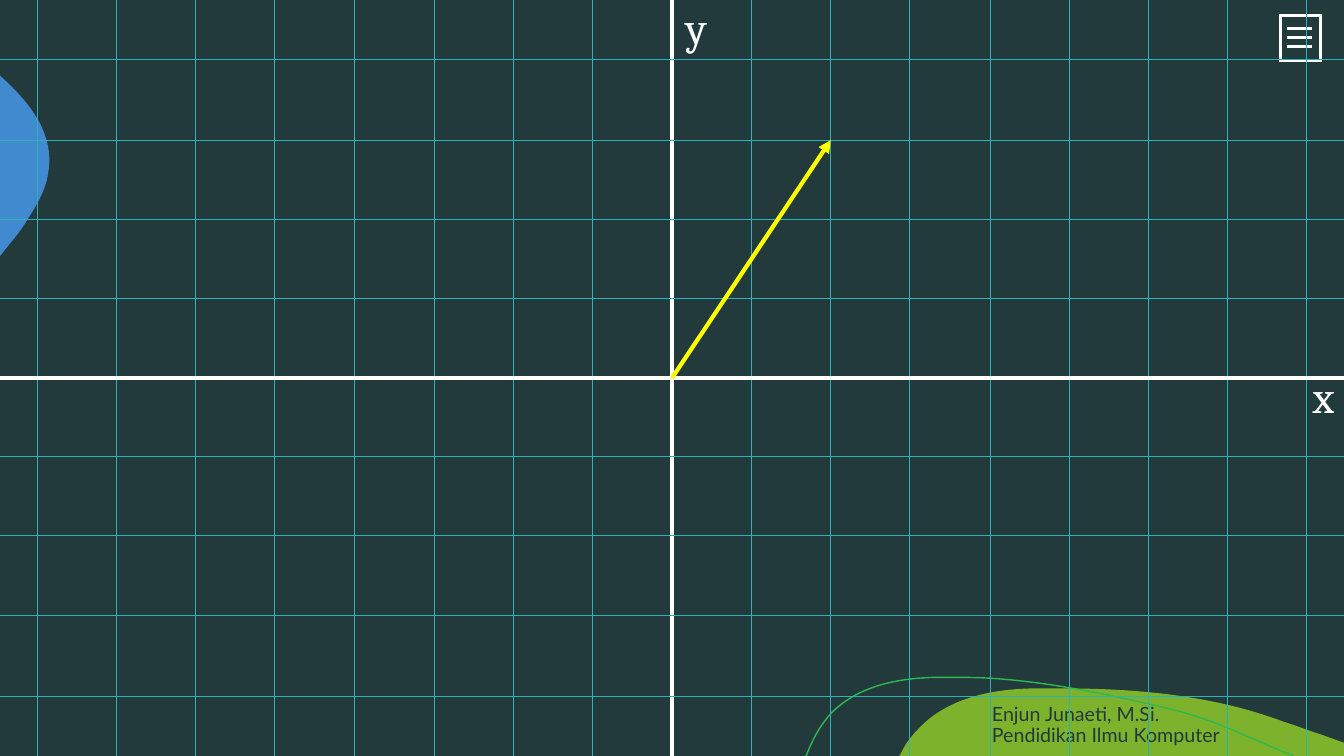
from dataclasses import dataclass

from lxml import etree
from pptx import Presentation
from pptx.dml.color import RGBColor
from pptx.enum.shapes import MSO_CONNECTOR, MSO_SHAPE
from pptx.enum.text import MSO_ANCHOR, MSO_AUTO_SIZE
from pptx.oxml.ns import qn
from pptx.shapes.autoshape import Shape
from pptx.shapes.connector import Connector
from pptx.util import Inches, Pt

DARK = RGBColor(0x22, 0x3A, 0x3C)
WHITE = RGBColor(0xFF, 0xFF, 0xFF)
TEAL = RGBColor(0x2E, 0xB1, 0xBB)
YELLOW = RGBColor(0xFF, 0xFF, 0x00)
LIME = RGBColor(0x7D, 0xB3, 0x2C)
BLUE = RGBColor(0x41, 0x8A, 0xCF)
GREEN = RGBColor(0x2E, 0xB9, 0x4E)

WIDTH, HEIGHT = 13.33, 7.5
ORIGIN = (WIDTH / 2, HEIGHT / 2)
VECTOR_TIP = (8.24, 1.39)
GRID_STEP = 0.785

Point = tuple[float, float]


@dataclass
class Outline:
    """Each segment holds one point for a straight line or three for a Bézier curve."""
    start: Point
    segments: list[list[Point]]
    color: RGBColor
    filled: bool = True


@dataclass
class GridRun:
    """Evenly spaced grid lines; the first lies at start."""
    start: float
    count: int

    def positions(self) -> list[float]:
        return [self.start + index * GRID_STEP for index in range(self.count)]


@dataclass
class Label:
    left: float
    top: float
    width: float
    height: float
    lines: list[str]
    size: float
    font: str
    color: RGBColor
    anchor: MSO_ANCHOR = MSO_ANCHOR.TOP
    line_spacing: float | None = None
    auto_size: MSO_AUTO_SIZE = MSO_AUTO_SIZE.SHAPE_TO_FIT_TEXT


OUTLINES = [
    Outline((10.54, 6.83), [
        [(11.28, 6.83), (12.04, 6.9), (12.73, 7.16)],
        [(12.86, 7.2), (12.98, 7.25), (13.11, 7.29)],
        [(13.33, 7.37)], [(13.33, 7.5)], [(8.92, 7.5)], [(8.98, 7.39)],
        [(9.02, 7.33), (9.06, 7.28), (9.11, 7.23)],
        [(9.39, 6.93), (9.82, 6.84), (10.23, 6.83)],
        [(10.33, 6.83), (10.43, 6.83), (10.54, 6.83)],
    ], LIME),
    Outline((0, 0.75), [
        [(0.01, 0.76)],
        [(0.3, 1.02), (0.54, 1.33), (0.48, 1.7)],
        [(0.46, 1.87), (0.37, 2.03), (0.27, 2.18)],
        [(0.24, 2.24), (0.17, 2.33), (0.08, 2.44)],
        [(0, 2.54)],
    ], BLUE),
    Outline((7.99, 7.5), [
        [(8, 7.49)],
        [(8.06, 7.33), (8.14, 7.19), (8.24, 7.08)],
        [(8.5, 6.81), (8.89, 6.73), (9.26, 6.72)],
        [(9.55, 6.72)],
        [(10.22, 6.72), (11, 6.89), (11.55, 7.02)],
        [(12.09, 7.15), (12.26, 7.27), (12.83, 7.5)],
    ], GREEN, filled=False),
]

COLUMN_RUNS = [GridRun(ORIGIN[0] + GRID_STEP, 3), GridRun(9.82, 5),
               GridRun(0.37, 5), GridRun(4.31, 3)]
ROW_RUNS = [GridRun(0.59, 1), GridRun(1.39, 3), GridRun(4.53, 3), GridRun(6.91, 1)]

FOOTER = Label(9.74, 6.85, 8.74, 0.61, ["Enjun Junaeti, M.Si.", "Pendidikan Ilmu Komputer"],
               14, "Lato", DARK, MSO_ANCHOR.BOTTOM, 0.9, MSO_AUTO_SIZE.NONE)
AXIS_LABELS = [
    Label(6.7, -0.05, 0.41, 0.64, ["y"], 32, "Cambria", WHITE),
    Label(12.92, 3.61, 0.41, 0.64, ["x"], 32, "Cambria", WHITE),
]


def bend_segments(shape: Shape, segments: list[list[Point]]) -> None:
    """Turn the straight lines of a freeform into Bézier curves where controls are given."""
    lines = list(shape._element.iter(qn("a:lnTo")))
    for line, segment in zip(lines, segments):
        if len(segment) == 3:
            line.tag = qn("a:cubicBezTo")
            end = line[0]
            for x, y in segment[:2]:
                control = etree.Element(qn("a:pt"), x=str(Inches(x) - shape.left),
                                        y=str(Inches(y) - shape.top))
                end.addprevious(control)


def add_outline(shapes, outline: Outline) -> None:
    anchors = [outline.start] + [segment[-1] for segment in outline.segments]
    start, *others = [(Inches(x), Inches(y)) for x, y in anchors]
    builder = shapes.build_freeform(*start)
    builder.add_line_segments(others, close=outline.filled)
    shape = builder.convert_to_shape()
    bend_segments(shape, outline.segments)
    shape.shadow.inherit = False
    if outline.filled:
        shape.fill.solid()
        shape.fill.fore_color.rgb = outline.color
        shape.line.fill.background()
    else:
        shape.fill.background()
        shape.line.color.rgb = outline.color
        shape.line.width = Pt(1)


def add_line(shapes, start: Point, end: Point, color: RGBColor, width: float) -> Connector:
    line = shapes.add_connector(MSO_CONNECTOR.STRAIGHT, Inches(start[0]), Inches(start[1]),
                                Inches(end[0]), Inches(end[1]))
    line.line.color.rgb = color
    line.line.width = Pt(width)
    etree.SubElement(line._element.spPr, qn("a:effectLst"))
    return line


def add_label(shapes, label: Label) -> None:
    box = shapes.add_textbox(Inches(label.left), Inches(label.top),
                             Inches(label.width), Inches(label.height))
    frame = box.text_frame
    frame.word_wrap = True
    frame.auto_size = label.auto_size
    frame.vertical_anchor = label.anchor
    frame.text = "\n".join(label.lines)
    for paragraph in frame.paragraphs:
        paragraph.line_spacing = label.line_spacing
        paragraph.font.size = Pt(label.size)
        paragraph.font.name = label.font
        paragraph.font.color.rgb = label.color


def add_menu_icon(shapes) -> None:
    icon = shapes.add_group_shape().shapes
    frame = icon.add_shape(MSO_SHAPE.RECTANGLE, Inches(12.7), Inches(0.15),
                           Inches(0.4), Inches(0.45))
    frame.shadow.inherit = False
    frame.fill.solid()
    frame.fill.fore_color.rgb = DARK
    frame.line.color.rgb = WHITE
    frame.line.width = Pt(2.25)
    etree.SubElement(frame.line._get_or_add_ln(), qn("a:miter"), lim="800000")
    for row in range(3):
        y = 0.28 + 0.09 * row
        add_line(icon, (12.76, y), (13.01, y), WHITE, 2.25)


def add_grid(shapes) -> None:
    """Draw each axis, followed by the grid lines parallel to it."""
    columns = [x for run in COLUMN_RUNS for x in run.positions()]
    rows = [y for run in ROW_RUNS for y in run.positions()]
    for x in [ORIGIN[0], *columns]:
        style = (WHITE, 3) if x == ORIGIN[0] else (TEAL, 0.5)
        add_line(shapes, (x, 0), (x, HEIGHT), *style)
    for y in [ORIGIN[1], *rows]:
        style = (WHITE, 3) if y == ORIGIN[1] else (TEAL, 0.5)
        add_line(shapes, (0, y), (WIDTH, y), *style)


def main() -> None:
    presentation = Presentation()
    presentation.slide_width = Inches(WIDTH)
    presentation.slide_height = Inches(HEIGHT)
    slide = presentation.slides.add_slide(presentation.slide_layouts[6])
    slide.background.fill.solid()
    slide.background.fill.fore_color.rgb = DARK
    shapes = slide.shapes
    for outline in OUTLINES:
        add_outline(shapes, outline)
    add_label(shapes, FOOTER)
    add_menu_icon(shapes)
    add_grid(shapes)
    vector = add_line(shapes, ORIGIN, VECTOR_TIP, YELLOW, 3)
    etree.SubElement(vector.line._get_or_add_ln(), qn("a:tailEnd"), type="triangle")
    for label in AXIS_LABELS:
        add_label(shapes, label)
    presentation.save("out.pptx")


if __name__ == "__main__":
    main()
